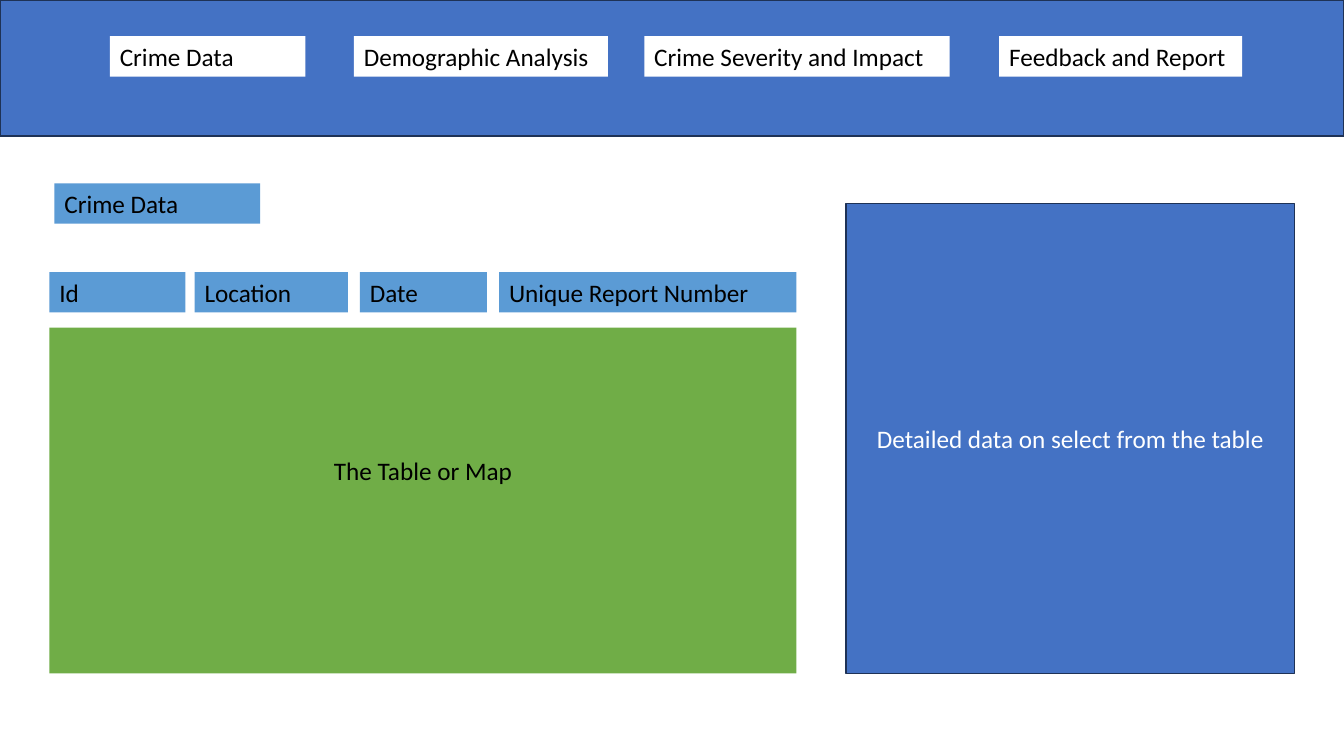
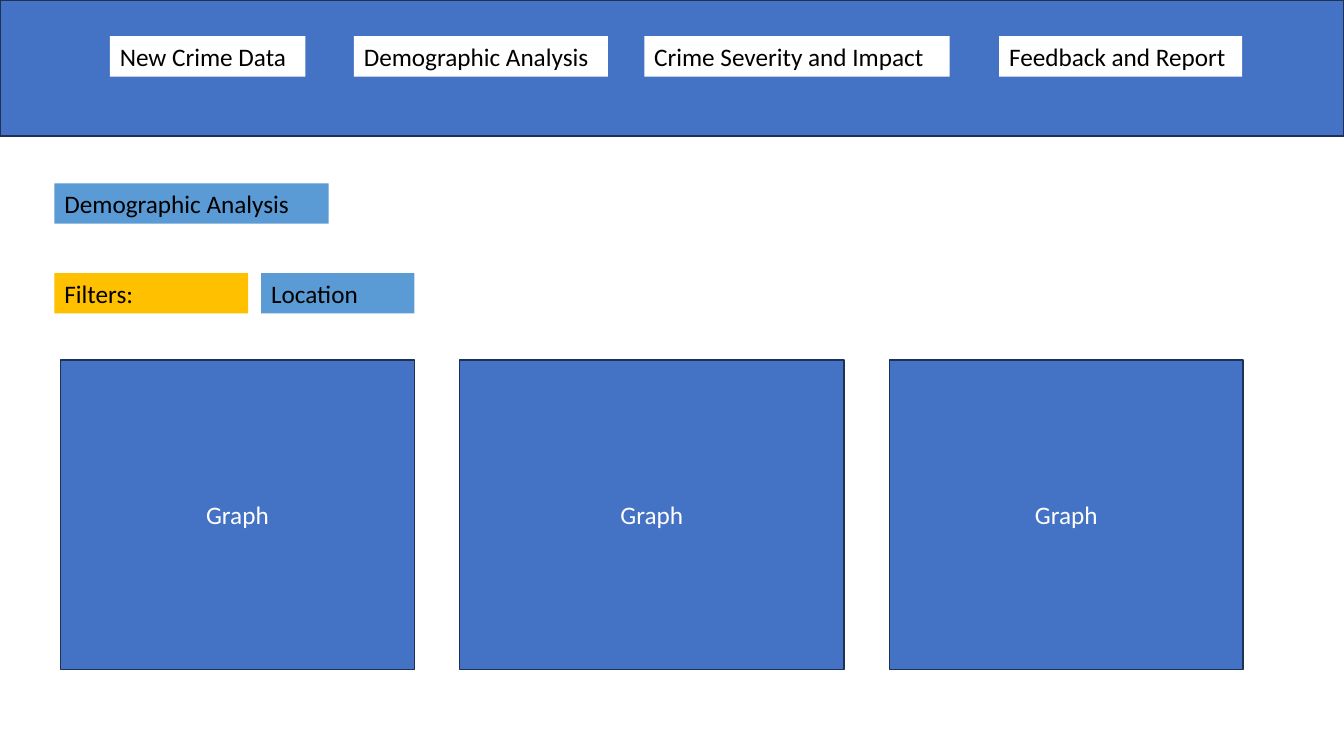
"""Build two wireframe slides of a crime data dashboard."""
from dataclasses import dataclass

from pptx import Presentation
from pptx.dml.color import RGBColor as RGB
from pptx.enum.shapes import MSO_SHAPE as SHAPE
from pptx.enum.text import MSO_ANCHOR as ANCHOR, PP_ALIGN as ALIGN
from pptx.util import Emu, Pt


@dataclass(frozen=True)
class Theme:
    font: str = "Calibri"
    size: int = 18
    white: str = "FFFFFF"
    black: str = "000000"
    panel: str = "4472C4"
    outline: str = "1E3256"
    label: str = "5B9BD5"
    table: str = "70AD47"
    filters: str = "FFC000"


T = Theme()
PX = 9144
LABEL_H = 40


def add_label(s, text, x, y, w, fill=T.label, h=LABEL_H, align=ALIGN.LEFT):
    sp = s.shapes.add_textbox(*(Emu(v * PX) for v in (x, y, w, h)))
    sp.fill.solid()
    sp.fill.fore_color.rgb = RGB.from_string(fill)
    tf = sp.text_frame
    tf.word_wrap = True
    p = tf.paragraphs[0]
    p.text = text
    p.alignment = align
    p.font.name, p.font.size = T.font, Pt(T.size)
    p.font.color.rgb = RGB.from_string(T.black)
    return sp


def add_panel(s, x, y, w, h, text=""):
    sp = s.shapes.add_shape(SHAPE.RECTANGLE, *(Emu(v * PX) for v in (x, y, w, h)))
    sp.shadow.inherit = False
    sp.fill.solid()
    sp.fill.fore_color.rgb = RGB.from_string(T.panel)
    sp.line.color.rgb = RGB.from_string(T.outline)
    sp.line.width = Pt(1)
    if text:
        tf = sp.text_frame
        tf.word_wrap = True
        tf.vertical_anchor = ANCHOR.MIDDLE
        p = tf.paragraphs[0]
        p.text = text
        p.alignment = ALIGN.CENTER
        p.font.name, p.font.size = T.font, Pt(T.size)
        p.font.color.rgb = RGB.from_string(T.white)


prs = Presentation()
prs.slide_width, prs.slide_height = Emu(1333 * PX), Emu(750 * PX)

NAV = [("Demographic Analysis", 351, 252),
       ("Crime Severity and Impact", 639, 303),
       ("Feedback and Report", 991, 241)]
PAGES = [("Crime Data", "Crime Data", 204),
         ("New Crime Data", "Demographic Analysis", 272)]

slides = []
for first_tab, title, title_w in PAGES:
    s = prs.slides.add_slide(prs.slide_layouts[6])
    add_panel(s, 0, 0, 1333, 135)
    for text, x, w in [(first_tab, 109, 194)] + NAV:
        add_label(s, text, x, 36, w, T.white)
    add_label(s, title, 54, 182, title_w)
    slides.append(s)
data, demographics = slides

COLUMNS = [("Id", 49, 135), ("Location", 193, 152),
           ("Date", 357, 126), ("Unique Report Number", 495, 295)]
for text, x, w in COLUMNS:
    add_label(data, text, x, 270, w)
table = add_label(data, "The Table or Map", 49, 325, 741, T.table, 343, ALIGN.CENTER)
table.text_frame.margin_top = Emu(127 * PX)
add_panel(data, 839, 202, 445, 466, "Detailed data on select from the table")

add_label(demographics, "Filters:", 54, 271, 192, T.filters)
add_label(demographics, "Location", 259, 271, 152)
x, gap = 60, 45
for w in (351, 381, 351):
    add_panel(demographics, x, 357, w, 307, "Graph")
    x += w + gap

prs.save("out.pptx")
